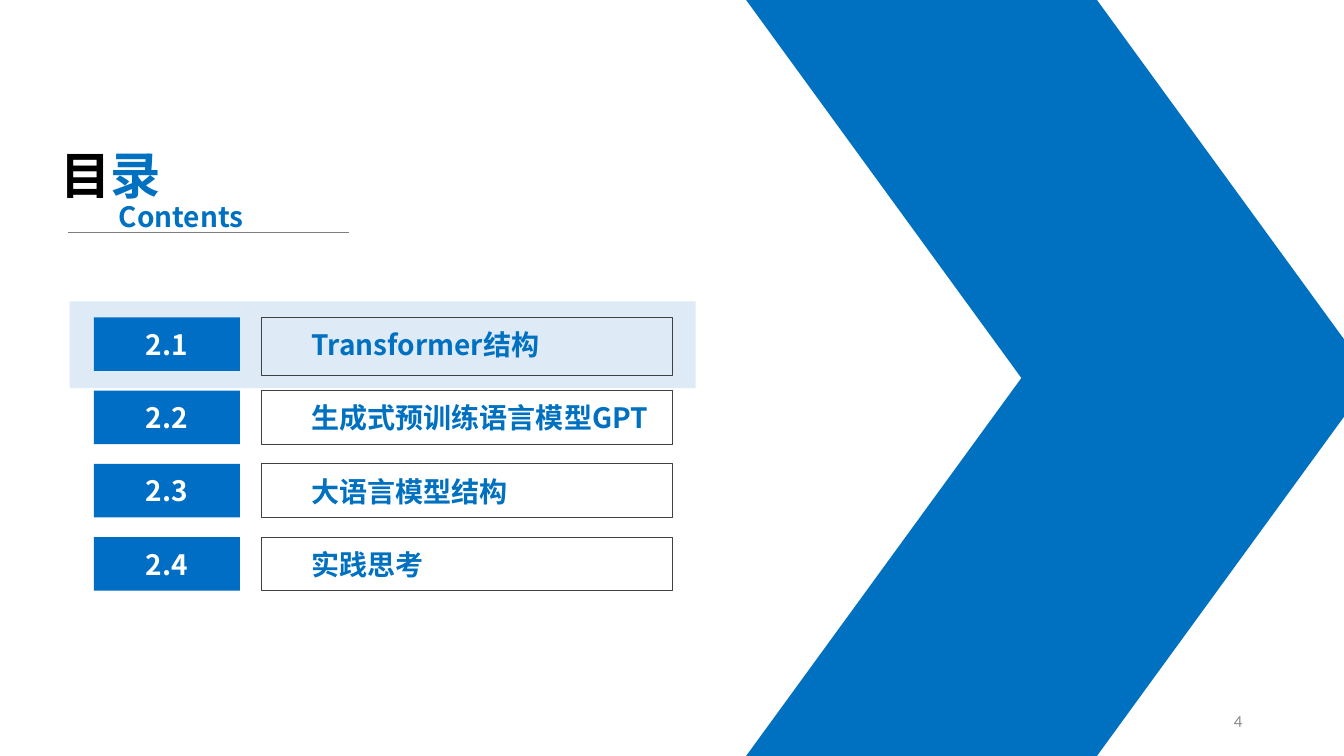
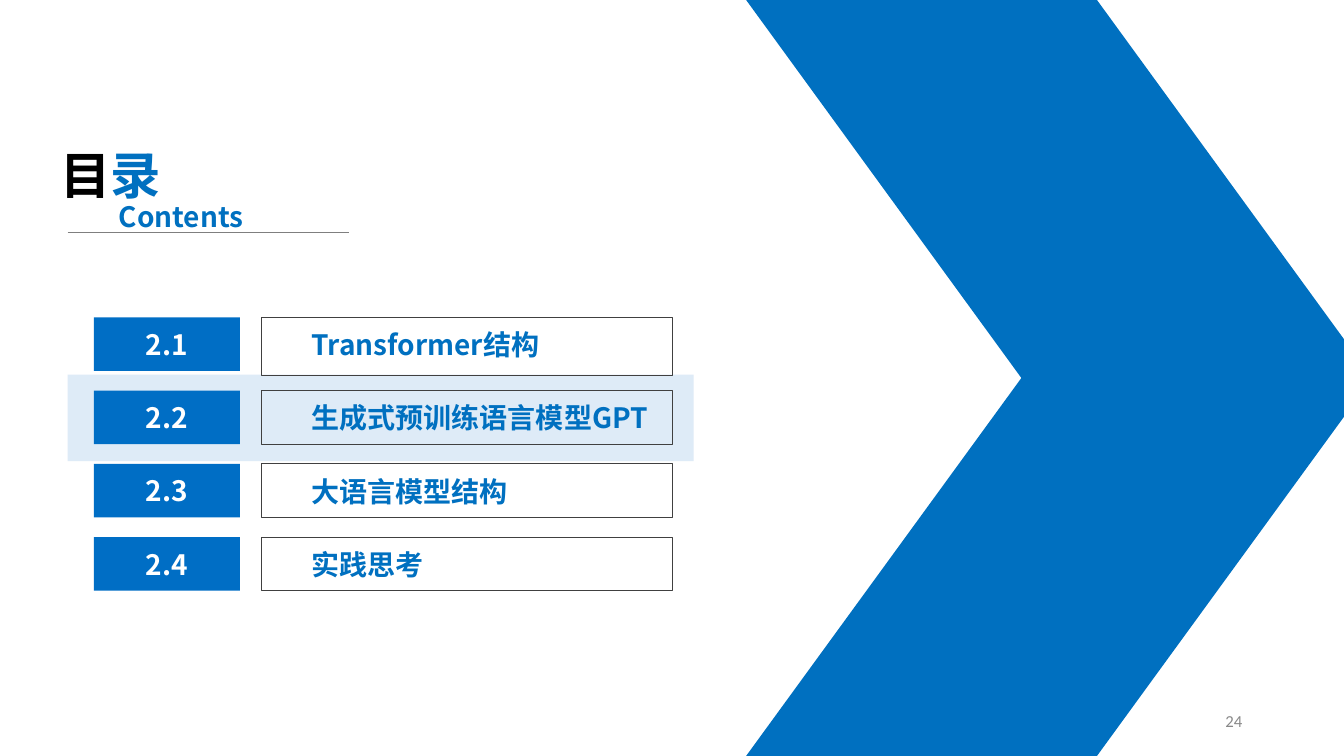
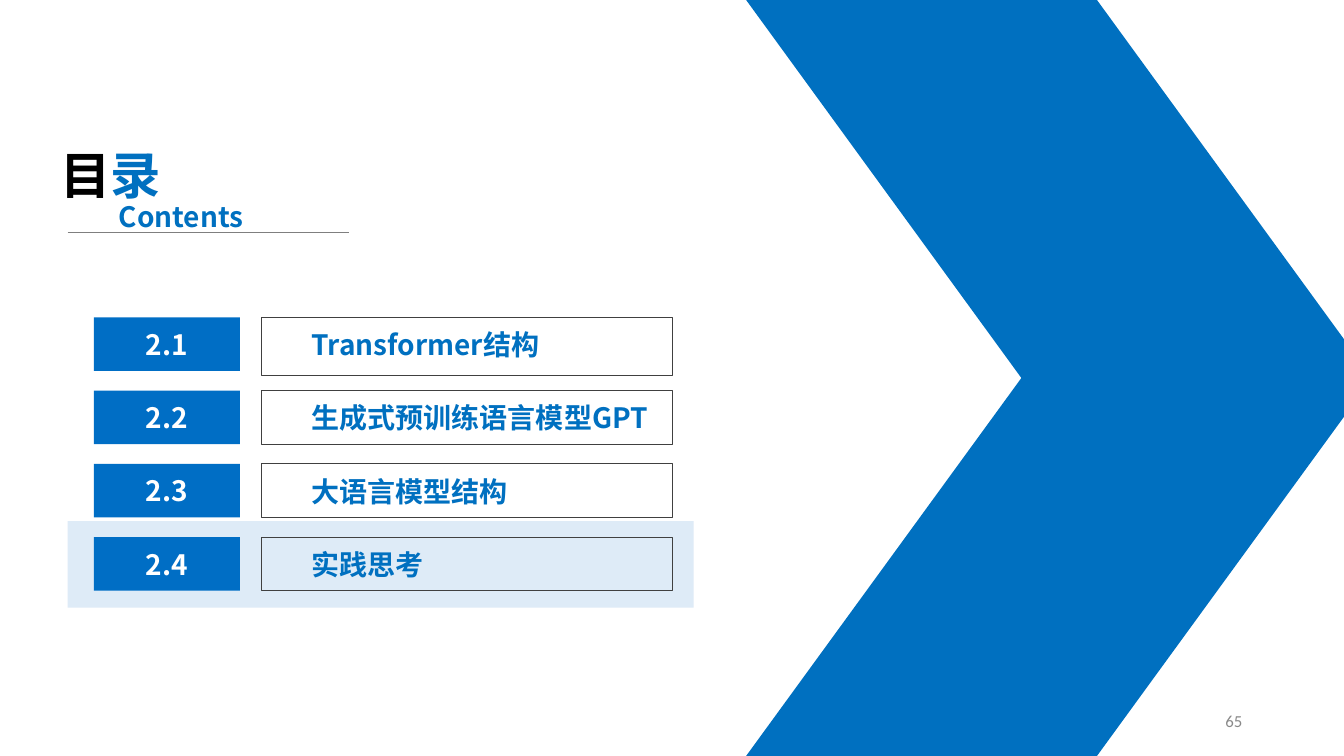
from lxml.etree import SubElement
from pptx import Presentation
from pptx.dml.color import RGBColor
from pptx.enum.shapes import MSO_CONNECTOR, MSO_SHAPE
from pptx.enum.text import MSO_ANCHOR, MSO_AUTO_SIZE, PP_ALIGN
from pptx.oxml.ns import qn
from pptx.util import Inches, Pt

SECTIONS = [
    ("2.1", "Transformer结构", 0.58),
    ("2.2", "生成式预训练语言模型GPT", 0.53),
    ("2.3", "大语言模型结构", 0.53),
    ("2.4", "实践思考", 0.53),
]
SLIDES = [
    {"page": "4", "active": 0, "band_left": 0.69},
    {"page": "24", "active": 1, "band_left": 0.67},
    {"page": "65", "active": 3, "band_left": 0.67},
]
TITLE = [("目", "000000"), ("录", "0070C0")]
SUBTITLE = "Contents"

FONT = "Noto Sans CJK SC"
BLUE, TILE, BAND, WHITE = "0070C0", "006EC5", "DEEBF7", "FFFFFF"
BORDER, RULE, GREY = "404040", "7F7F7F", "898989"
FIRST_TOP, LAST_TOP = 3.15, 5.33
STEP = (LAST_TOP - FIRST_TOP) / (len(SECTIONS) - 1)
TILE_HEIGHT, BAND_PAD = 0.53, 0.16


def rgb(color):
    return RGBColor.from_string(color)


def box(*lengths):
    return [Inches(v) for v in lengths]


def style(p, size, color=None, name=FONT, bold=True, align=PP_ALIGN.LEFT):
    p.alignment = align
    p.font.size = Pt(size)
    p.font.bold = bold
    p.font.name = name
    if color:
        p.font.color.rgb = rgb(color)
    SubElement(p.font._element, qn("a:ea")).set("typeface", name)


def add_shape(s, kind, at, fill=None, line=None):
    sp = s.shapes.add_shape(kind, *box(*at))
    sp.shadow.inherit = False
    if fill:
        sp.fill.solid()
        sp.fill.fore_color.rgb = rgb(fill)
    else:
        sp.fill.background()
    if line:
        sp.line.color.rgb = rgb(line)
        sp.line.width = Pt(0.75)
    else:
        sp.line.fill.background()
    return sp


def write(sp, text, size, color, anchor=MSO_ANCHOR.TOP, **options):
    tf = sp.text_frame
    tf.word_wrap = True
    tf.vertical_anchor = anchor
    p = tf.paragraphs[0]
    p.text = text
    style(p, size, color, **options)
    return tf


def add_chevron(s):
    for top, flipped in ((3.75, False), (0, True)):
        sp = add_shape(s, MSO_SHAPE.PARALLELOGRAM, (7.4, top, 6.21, 3.75), BLUE)
        sp.adjustments[0] = 0.728
        if flipped:
            sp._element.spPr.find(qn("a:xfrm")).set("flipV", "1")


def add_heading(s):
    title = s.shapes.title
    title.left, title.top, title.width, title.height = box(0.5, 1.38, 1.57, 0.71)
    tf = title.text_frame
    tf.auto_size = MSO_AUTO_SIZE.NONE
    tf.vertical_anchor = MSO_ANCHOR.TOP
    p = tf.paragraphs[0]
    for text, color in TITLE:
        r = p.add_run()
        r.text = text
        r.font.color.rgb = rgb(color)
    style(p, 36)
    line = s.shapes.add_connector(MSO_CONNECTOR.STRAIGHT, *box(0.67, 2.31, 3.46, 2.31))
    line.line.color.rgb = rgb(RULE)
    line.line.width = Pt(0.5)
    SubElement(line._element.spPr, qn("a:effectLst"))
    write(s.shapes.add_textbox(*box(1.08, 1.93, 1.57, 0.44)), SUBTITLE, 20, BLUE)


def add_section(s, top, number, name, height):
    label = add_shape(s, MSO_SHAPE.RECTANGLE, (2.59, top, 4.08, height), line=BORDER)
    tf = write(label, name, 20, BLUE)
    tf.margin_left, tf.margin_top, tf.margin_right = box(0.5, 0.1, 0)
    tile = add_shape(s, MSO_SHAPE.RECTANGLE, (0.93, top, 1.45, TILE_HEIGHT), TILE)
    write(tile, number, 20, WHITE, MSO_ANCHOR.MIDDLE, align=PP_ALIGN.CENTER)


def add_contents(prs, page, active, band_left):
    s = prs.slides.add_slide(prs.slide_layouts.get_by_name("Title Only"))
    band_top = FIRST_TOP + active * STEP - BAND_PAD
    add_shape(s, MSO_SHAPE.RECTANGLE, (band_left, band_top, 6.21, 0.86), BAND)
    add_chevron(s)
    add_heading(s)
    for i, section in enumerate(SECTIONS):
        add_section(s, FIRST_TOP + i * STEP, *section)
    write(s.shapes.add_textbox(*box(9.42, 6.95, 3, 0.4)), page, 12, GREY,
          MSO_ANCHOR.MIDDLE, name="Calibri", bold=False, align=PP_ALIGN.RIGHT)


def main():
    prs = Presentation()
    prs.slide_width, prs.slide_height = box(13.33, 7.5)
    for slide in SLIDES:
        add_contents(prs, **slide)
    prs.save("out.pptx")


if __name__ == "__main__":
    main()
